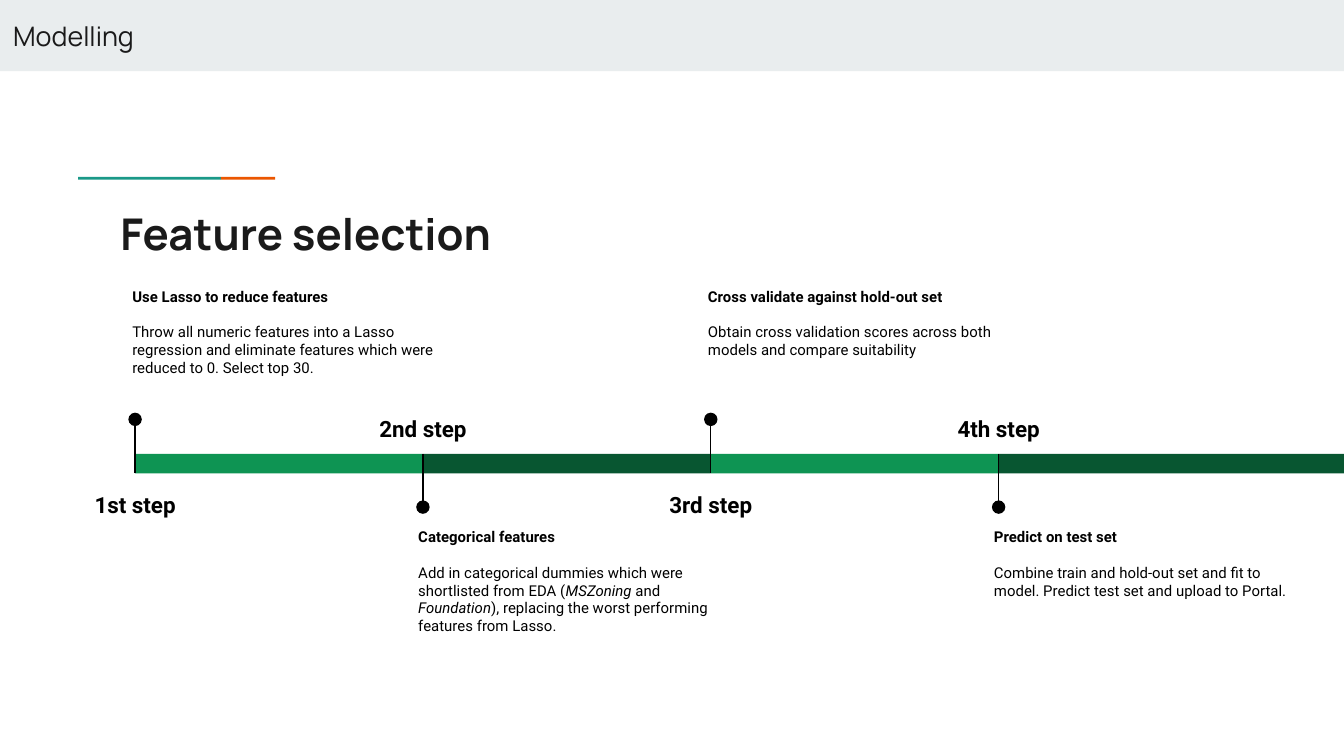
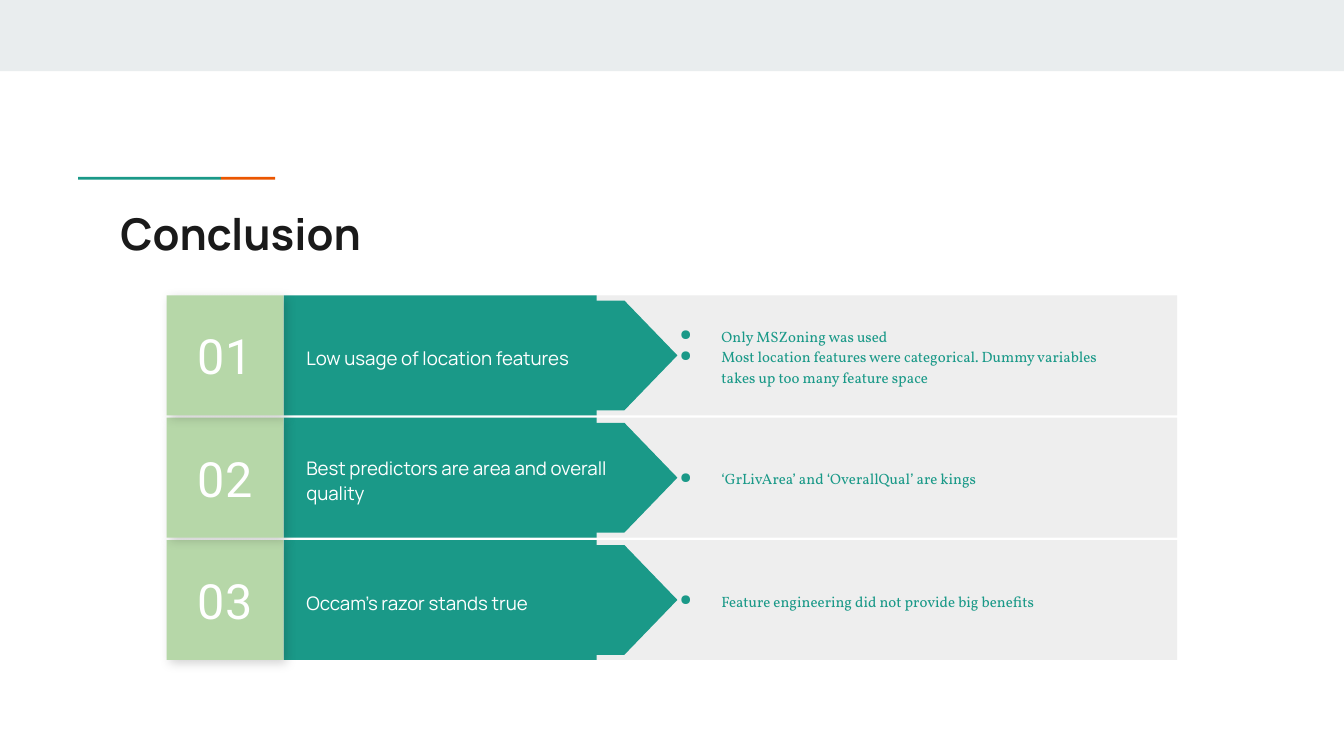
from lxml import etree
from pptx import Presentation
from pptx.dml.color import RGBColor
from pptx.enum.shapes import MSO_CONNECTOR, MSO_SHAPE
from pptx.enum.text import MSO_ANCHOR, PP_ALIGN
from pptx.oxml import parse_xml
from pptx.oxml.ns import nsdecls, qn
from pptx.util import Pt

RECT, OVAL = MSO_SHAPE.RECTANGLE, MSO_SHAPE.OVAL
OFFPAGE = MSO_SHAPE.FLOWCHART_OFFPAGE_CONNECTOR
STRAIGHT = MSO_CONNECTOR.STRAIGHT
TOP, MIDDLE = MSO_ANCHOR.TOP, MSO_ANCHOR.MIDDLE
LEFT, CENTER = PP_ALIGN.LEFT, PP_ALIGN.CENTER

SLIDE_W, SLIDE_H = 720, 405
INSET = 7.2
HEADER_H = 38.2
HEADING_FONT, BODY_FONT, SERIF_FONT = "Manrope", "Roboto", "Vollkorn"
INK, BLACK, WHITE = "1A1A1A", "000000", "FFFFFF"
HEADER_GREY, PANEL_GREY = "E9EDEE", "EEEEEE"
TEAL, ORANGE, PALE_GREEN = "1A9988", "EB5600", "B6D7A8"
BAR_GREENS = ("0E9453", "085631")

# Each step: label, heading, body as (text, italic) pieces
STEPS = [
    ("1st step", "Use Lasso to reduce features",
     [("Throw all numeric features into a Lasso regression and eliminate "
       "features which were reduced to 0. Select top 30.", False)]),
    ("2nd step", "Categorical features",
     [("Add in categorical dummies which were shortlisted from EDA (", False),
      ("MSZoning", True), (" and ", False), ("Foundation", True),
      ("), replacing the worst performing features from Lasso.", False)]),
    ("3rd step", "Cross validate against hold-out set",
     [("Obtain cross validation scores across both models and compare "
       "suitability", False)]),
    ("4th step", "Predict on test set",
     [("Combine train and hold-out set and fit to model. Predict test set "
       "and upload to Portal.", False)]),
]

FINDINGS = [
    ("Low usage of location features",
     ["Only MSZoning was used",
      "Most location features were categorical. Dummy variables takes up "
      "too many feature space"]),
    ("Best predictors are area and overall quality",
     ["‘GrLivArea’ and ‘OverallQual’ are kings"]),
    ("Occam’s razor stands true",
     ["Feature engineering did not provide big benefits"]),
]


def color(hex_string):
    return RGBColor.from_string(hex_string)


def add_block(slide, kind, x, y, w, h, fill):
    block = slide.shapes.add_shape(kind, Pt(x), Pt(y), Pt(w), Pt(h))
    block.shadow.inherit = False
    block.fill.solid()
    block.fill.fore_color.rgb = color(fill)
    block.line.fill.background()
    return block


def prepare_frame(shape, anchor):
    frame = shape.text_frame
    frame.word_wrap = True
    frame.vertical_anchor = anchor
    frame.margin_left = frame.margin_right = Pt(INSET)
    frame.margin_top = frame.margin_bottom = Pt(INSET)
    return frame


def add_frame(slide, x, y, w, h, anchor=TOP):
    return prepare_frame(
        slide.shapes.add_textbox(Pt(x), Pt(y), Pt(w), Pt(h)), anchor)


def write(paragraph, pieces, font, size, ink, bold=False, align=LEFT,
          spacing=1.0):
    """Fill a paragraph from plain text or (text, italic) pieces."""
    if isinstance(pieces, str):
        pieces = [(pieces, False)]
    for text, italic in pieces:
        run = paragraph.add_run()
        run.text = text
        if italic:
            run.font.italic = True
    paragraph.font.name = font
    paragraph.font.size = Pt(size)
    paragraph.font.bold = bold
    paragraph.font.color.rgb = color(ink)
    paragraph.alignment = align
    paragraph.line_spacing = spacing


def add_bullet(paragraph):
    props = paragraph._p.get_or_add_pPr()
    props.set("marL", str(Pt(36)))
    props.set("indent", str(Pt(-22.3)))
    bullet_color = parse_xml(
        f'<a:buClr {nsdecls("a")}><a:srgbClr val="{TEAL}"/></a:buClr>')
    bullet = parse_xml(f'<a:buChar {nsdecls("a")} char="●"/>')
    # Bullet settings must stand before the paragraph's default font
    default_font = props.find(qn("a:defRPr"))
    default_font.addprevious(bullet_color)
    default_font.addprevious(bullet)


def add_soft_shadow(shape):
    effects = shape._element.spPr.find(qn("a:effectLst"))
    effects.append(parse_xml(
        f'<a:outerShdw {nsdecls("a")} blurRad="{Pt(5.6)}" dist="{Pt(2.2)}" '
        'dir="2700000" algn="ctr" rotWithShape="0"><a:srgbClr val="000000">'
        '<a:alpha val="17000"/></a:srgbClr></a:outerShdw>'))


def add_slide(prs, title, header=""):
    slide = prs.slides.add_slide(prs.slide_layouts[6])
    # Header band
    add_block(slide, RECT, 0, 0, SLIDE_W, HEADER_H, HEADER_GREY)
    if header:
        frame = add_frame(slide, 0, 0, SLIDE_W, HEADER_H, MIDDLE)
        write(frame.paragraphs[0], header, HEADING_FONT, 14.4, INK)
    # Two-colour rule above the title
    add_block(slide, RECT, 41.8, 94.8, 76.5, 1.5, TEAL)
    add_block(slide, RECT, 118.3, 94.8, 29.2, 1.5, ORANGE)
    # Title
    frame = add_frame(slide, 57.4, 103.7, 605.5, 42.5)
    write(frame.paragraphs[0], title, HEADING_FONT, 23.4, INK, bold=True)
    return slide


def add_step(slide, x, y, w, bar_w, step, index):
    """Place one step; x, y is the top left of its piece of the bar."""
    label, heading, body = step
    bar_h, dot, label_w, label_h = 10.4, 7.2, 76, 29.5
    note_above = index % 2 == 0
    if note_above:
        note_x, note_y, label_y = x - 8.6, y - 96.4, y + bar_h
        pin_end, pin_start = y - 18, y + bar_h
    else:
        note_x, note_y, label_y = x - 9.6, y + 32.4, y - 30.2
        pin_end, pin_start = y + 28, y

    add_block(slide, RECT, x, y, bar_w, bar_h, BAR_GREENS[index % 2])
    # Pin with a dot at its outer end
    pin = slide.shapes.add_connector(
        STRAIGHT, Pt(x), Pt(pin_start), Pt(x), Pt(pin_end))
    pin.line.color.rgb = color(BLACK)
    pin.line.width = Pt(0.75)
    etree.SubElement(pin._element.spPr, qn("a:effectLst"))
    dot_y = pin_end + (-1 if note_above else 1) * 0.5 - dot / 2
    add_block(slide, OVAL, x - dot / 2, dot_y, dot, dot, BLACK)
    # Step label
    frame = add_frame(slide, x - label_w / 2, label_y, label_w, label_h)
    write(frame.paragraphs[0], label, BODY_FONT, 12, BLACK, True, CENTER, 1.15)
    # Note
    frame = add_frame(slide, note_x, note_y, w, 74.2)
    write(frame.paragraphs[0], heading, BODY_FONT, 8, BLACK, bold=True)
    text = frame.add_paragraph()
    write(text, body, BODY_FONT, 8, BLACK)
    text.space_before = Pt(9.4)


def add_timeline(slide, x, y, pitch):
    for index, step in enumerate(STEPS):
        step_x = x + index * pitch
        is_last = index == len(STEPS) - 1
        bar_w = SLIDE_W - step_x if is_last else pitch
        add_step(slide, step_x, y, 177, bar_w, step, index)


def add_finding(slide, x, y, h, number, claim, points):
    tile_w, band_w = 62.6, 167.8
    band_x = x + tile_w
    # Grey panel, teal band and its arrow tip
    add_block(slide, RECT, x + 194.4, y, 347, h, PANEL_GREY)
    add_block(slide, RECT, band_x, y, band_w, h, TEAL)
    tip_w, tip_h = 58.8, 142
    tip = add_block(slide, OFFPAGE, x + 202.6 - tip_w / 2,
                    y + (h - tip_h) / 2, tip_w, tip_h, TEAL)
    tip.rotation = 270
    # Claim
    frame = add_frame(slide, band_x + 5.1, y + 7.9, 176.4, 49.7, MIDDLE)
    write(frame.paragraphs[0], claim, HEADING_FONT, 10, WHITE, spacing=1.15)
    # Number tile
    tile = add_block(slide, RECT, x, y, tile_w, h, PALE_GREEN)
    add_soft_shadow(tile)
    frame = prepare_frame(tile, MIDDLE)
    write(frame.paragraphs[0], f"{number:02d}", BODY_FONT, 26, WHITE,
          align=CENTER)
    # Supporting points
    frame = add_frame(slide, x + 254.1, y, 270, h, MIDDLE)
    for index, point in enumerate(points):
        paragraph = frame.add_paragraph() if index else frame.paragraphs[0]
        write(paragraph, point, SERIF_FONT, 8, TEAL, spacing=1.15)
        add_bullet(paragraph)


def add_findings(slide, x, y, row_h, pitch):
    # Bottom row first, so that each shadow falls on the row below
    for index in reversed(range(len(FINDINGS))):
        add_finding(slide, x, y + index * pitch, row_h, index + 1,
                    *FINDINGS[index])


def main():
    prs = Presentation()
    prs.slide_width, prs.slide_height = Pt(SLIDE_W), Pt(SLIDE_H)
    add_timeline(add_slide(prs, "Feature selection", "Modelling"),
                 72.4, 243.2, 154.2)
    add_findings(add_slide(prs, "Conclusion"), 89.3, 158.3, 64.2, 65.5)
    prs.save("out.pptx")


if __name__ == "__main__":
    main()
